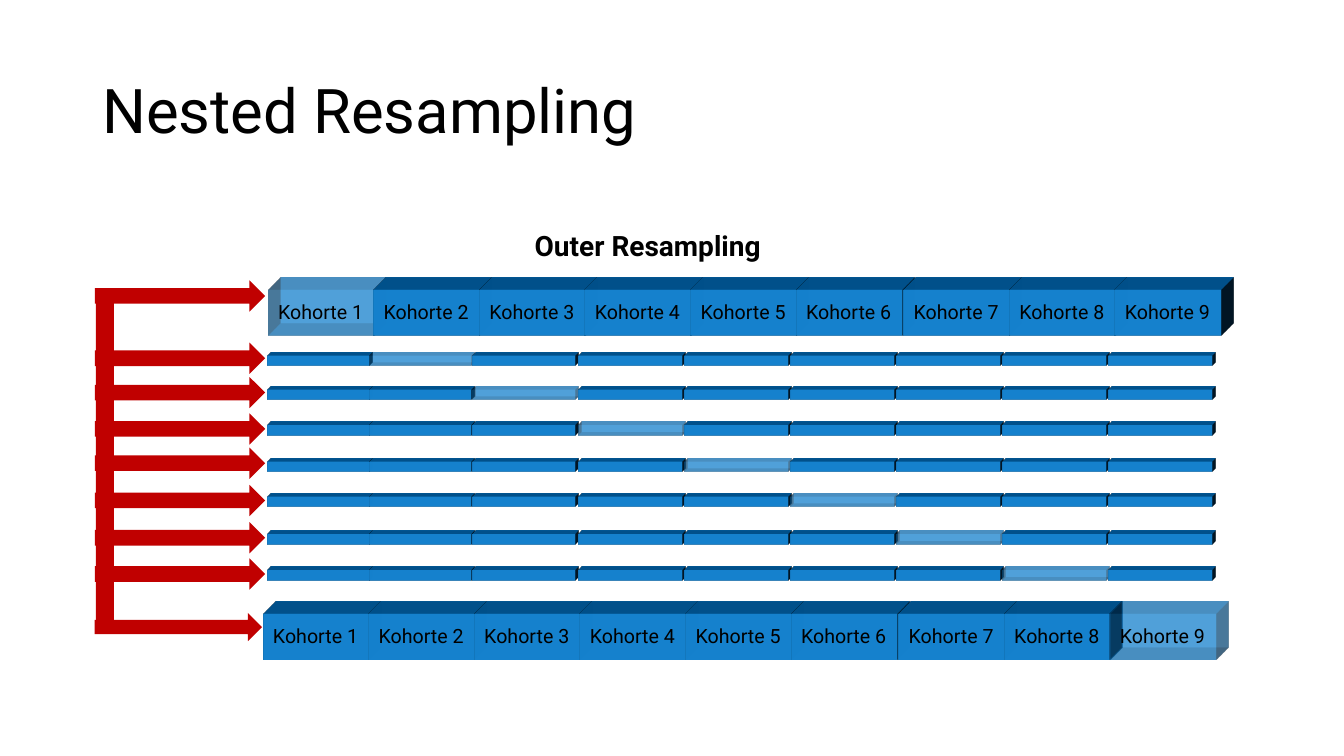
from dataclasses import dataclass

from lxml.etree import SubElement
from pptx import Presentation
from pptx.dml.color import RGBColor
from pptx.enum.shapes import MSO_SHAPE as Preset
from pptx.enum.text import MSO_ANCHOR as Anchor, MSO_AUTO_SIZE as AutoSize, PP_ALIGN as Align
from pptx.oxml.ns import qn
from pptx.shapes.autoshape import Shape
from pptx.shapes.shapetree import SlideShapes
from pptx.util import Pt

BLUE = RGBColor(0x00, 0x70, 0xC0)
RED = RGBColor(0xC0, 0x00, 0x00)
BLACK = RGBColor(0x00, 0x00, 0x00)
FONT = "Roboto"
COHORTS = 9
OUTER_DEPTH = 42
INNER_DEPTH = 12


@dataclass(frozen=True)
class Box:
    left: float
    top: float
    width: float
    height: float


@dataclass(frozen=True)
class OuterFold:
    left: float
    top: float
    held_out: int


@dataclass(frozen=True)
class InnerFold:
    top: float
    held_out: int


OUTER_FOLDS = [OuterFold(191.5, 207.4, 0), OuterFold(187.9, 438.5, 8)]
INNER_TOPS = [254.2, 278.6, 303.8, 329.8, 355, 381.6, 407.5]
INNER_FOLDS = [InnerFold(top, number) for number, top in enumerate(INNER_TOPS, start=1)]
ARROWS = [Box(67.7, top, 121.7, 22.3)
          for top in (200.2, 244.8, 269.3, 295.2, 319.7, 346.3, 373, 398.9)]
ARROWS.append(Box(67.7, 437.8, 119.5, 20.2))


def add_solid(shapes: SlideShapes, preset: Preset, box: Box, color: RGBColor) -> Shape:
    solid = shapes.add_shape(preset, Pt(box.left), Pt(box.top), Pt(box.width), Pt(box.height))
    solid.shadow.inherit = False
    solid.fill.solid()
    solid.fill.fore_color.rgb = color
    solid.line.fill.background()
    return solid


def add_block(shapes: SlideShapes, box: Box, depth: float, held_out: bool) -> None:
    block = add_solid(shapes, Preset.RECTANGLE, box, BLUE)
    block.line.color.rgb = BLUE
    block.line.width = Pt(1.5)
    properties = block._element.spPr
    if held_out:
        for color in properties.iter(qn("a:srgbClr")):
            SubElement(color, qn("a:alpha"), val="50000")
    scene = SubElement(properties, qn("a:scene3d"))
    SubElement(scene, qn("a:camera"), prst="obliqueTopRight")
    SubElement(scene, qn("a:lightRig"), rig="threePt", dir="t")
    SubElement(properties, qn("a:sp3d"), extrusionH=str(Pt(depth)))


def add_text(shapes: SlideShapes, box: Box, wording: str, size: float, bold: bool = False,
             align: Align = Align.LEFT, anchor: Anchor = Anchor.TOP,
             fit: AutoSize = AutoSize.SHAPE_TO_FIT_TEXT, spacing: float = 1.0) -> None:
    frame = shapes.add_textbox(Pt(box.left), Pt(box.top), Pt(box.width), Pt(box.height)).text_frame
    frame.word_wrap = True
    frame.auto_size = fit
    frame.vertical_anchor = anchor
    paragraph = frame.paragraphs[0]
    paragraph.alignment = align
    paragraph.line_spacing = spacing
    run = paragraph.add_run()
    run.text = wording
    run.font.name = FONT
    run.font.size = Pt(size)
    run.font.bold = bold
    run.font.color.rgb = BLACK


def add_outer_fold(shapes: SlideShapes, fold: OuterFold) -> None:
    for cohort in range(COHORTS):
        left = fold.left + 75.45 * cohort + (1.3 if cohort >= 6 else 0)
        add_block(shapes, Box(left, fold.top, 75.5, 32.4), OUTER_DEPTH, cohort == fold.held_out)
        add_text(shapes, Box(left, fold.top + 3.6, 92.9, 24.5), f"Kohorte {cohort + 1}", 14)


def add_inner_fold(shapes: SlideShapes, fold: InnerFold) -> None:
    for cohort in range(COHORTS):
        if cohort < 2:
            left, width = 190.8 + 72.9 * cohort, 72.7
        else:
            left, width = 337.7 + 75.72 * (cohort - 2), 73.4
        add_block(shapes, Box(left, fold.top, width, 7.2), INNER_DEPTH, cohort == fold.held_out)


def main() -> None:
    deck = Presentation()
    deck.slide_width, deck.slide_height = Pt(960), Pt(540)
    shapes = deck.slides.add_slide(deck.slide_layouts[6]).shapes
    add_text(shapes, Box(66, 28.8, 828, 104.4), "Nested Resampling", 44,
             anchor=Anchor.MIDDLE, fit=AutoSize.NONE, spacing=0.9)
    for outer_fold in OUTER_FOLDS:
        add_outer_fold(shapes, outer_fold)
    add_solid(shapes, Preset.RECTANGLE, Box(68.4, 206.6, 13, 245.5), RED)
    for arrow in ARROWS:
        add_solid(shapes, Preset.RIGHT_ARROW, arrow, RED)
    for inner_fold in INNER_FOLDS:
        add_inner_fold(shapes, inner_fold)
    add_text(shapes, Box(214.6, 159.8, 496.1, 55.4), "Outer Resampling", 20,
             bold=True, align=Align.CENTER)
    deck.save("out.pptx")


if __name__ == "__main__":
    main()
